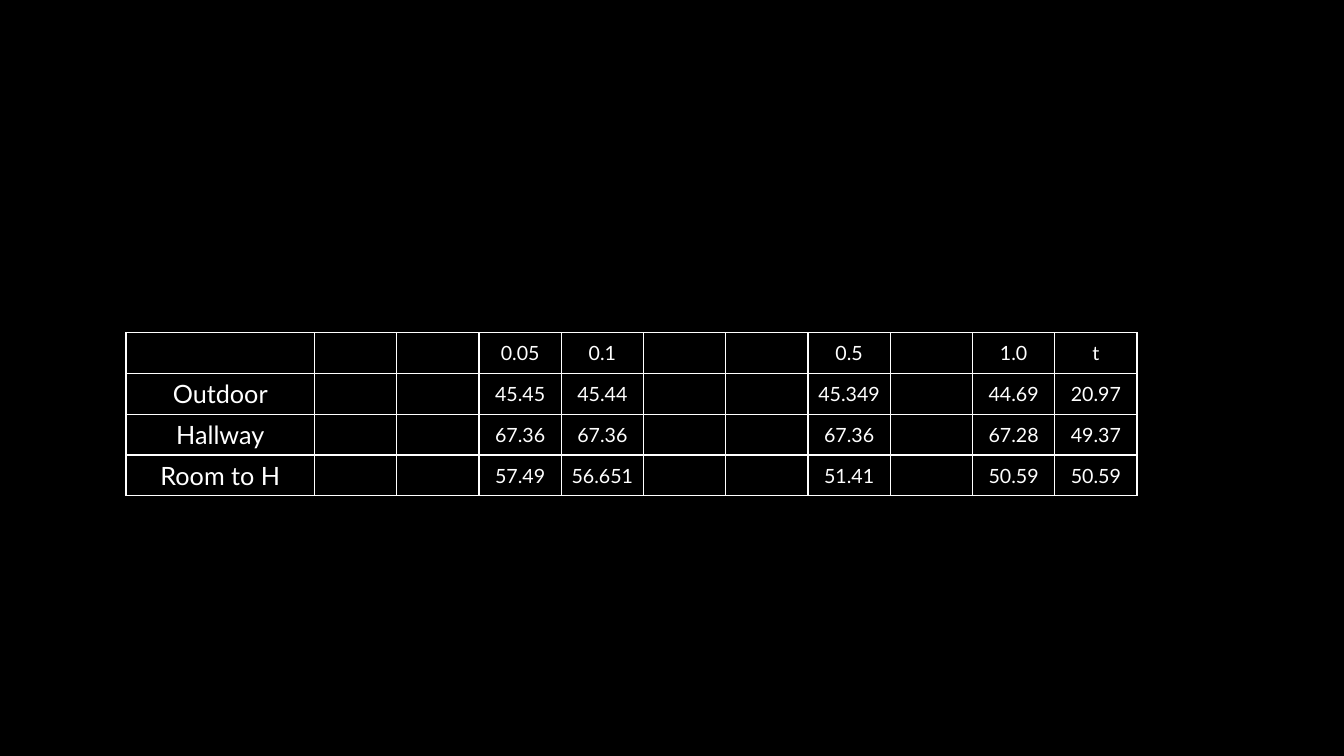
from lxml.etree import SubElement
from pptx import Presentation
from pptx.dml.color import RGBColor
from pptx.enum.text import MSO_ANCHOR as Anchor, PP_ALIGN as Align
from pptx.oxml.ns import qn
from pptx.util import Inches, Pt

BLACK = RGBColor(0, 0, 0)
WHITE = RGBColor(255, 255, 255)
COLUMN_WIDTHS = [1.87] + [0.816] * 10
ROW_HEIGHT = 0.405
RESULTS = [
    ["", "", "", "0.05", "0.1", "", "", "0.5", "", "1.0", "t"],
    ["Outdoor", "", "", "45.45", "45.44", "", "", "45.349", "", "44.69", "20.97"],
    ["Hallway", "", "", "67.36", "67.36", "", "", "67.36", "", "67.28", "49.37"],
    ["Room to H", "", "", "57.49", "56.651", "", "", "51.41", "", "50.59", "50.59"],
]


def write_text(frame, text, size=14, font="Lato", color=WHITE, align=Align.CENTER):
    paragraph = frame.paragraphs[0]
    paragraph.alignment = align
    run = paragraph.add_run()
    run.text = text
    run.font.name = font
    run.font.size = Pt(size)
    run.font.color.rgb = color


class SlideBuilder:
    def __init__(self, slide, background=BLACK, line=WHITE, line_width=1):
        self.slide = slide
        self.background = background
        self.line = line
        self.line_width = line_width
        fill = slide.background.fill
        fill.solid()
        fill.fore_color.rgb = background

    def add_borders(self, cell):
        properties = cell._tc.get_or_add_tcPr()
        for index, side in enumerate(("a:lnL", "a:lnR", "a:lnT", "a:lnB")):
            border = SubElement(properties, qn(side), w=str(Pt(self.line_width)))
            fill = SubElement(border, qn("a:solidFill"))
            SubElement(fill, qn("a:srgbClr"), val=str(self.line))
            properties.insert(index, border)

    def add_table(self, rows, left, top, widths, row_height):
        frame = self.slide.shapes.add_table(
            len(rows), len(widths), Inches(left), Inches(top),
            Inches(sum(widths)), Inches(row_height * len(rows)))
        table = frame.table
        table.first_row = False
        table.horz_banding = False
        for column, width in zip(table.columns, widths):
            column.width = Inches(width)
        for row, texts in zip(table.rows, rows):
            row.height = Inches(row_height)
            for index, (cell, text) in enumerate(zip(row.cells, texts)):
                cell.fill.solid()
                cell.fill.fore_color.rgb = self.background
                cell.vertical_anchor = Anchor.MIDDLE
                cell.margin_left = cell.margin_right = Inches(0.05)
                cell.margin_top = cell.margin_bottom = Inches(0.03)
                self.add_borders(cell)
                if text:
                    write_text(cell.text_frame, text, size=14 if index else 18)


def main():
    presentation = Presentation()
    presentation.slide_width = Inches(13.33)
    presentation.slide_height = Inches(7.5)
    slide = presentation.slides.add_slide(presentation.slide_layouts[6])
    builder = SlideBuilder(slide)
    builder.add_table(RESULTS, 1.25, 3.3, COLUMN_WIDTHS, ROW_HEIGHT)
    presentation.save("out.pptx")


if __name__ == "__main__":
    main()
